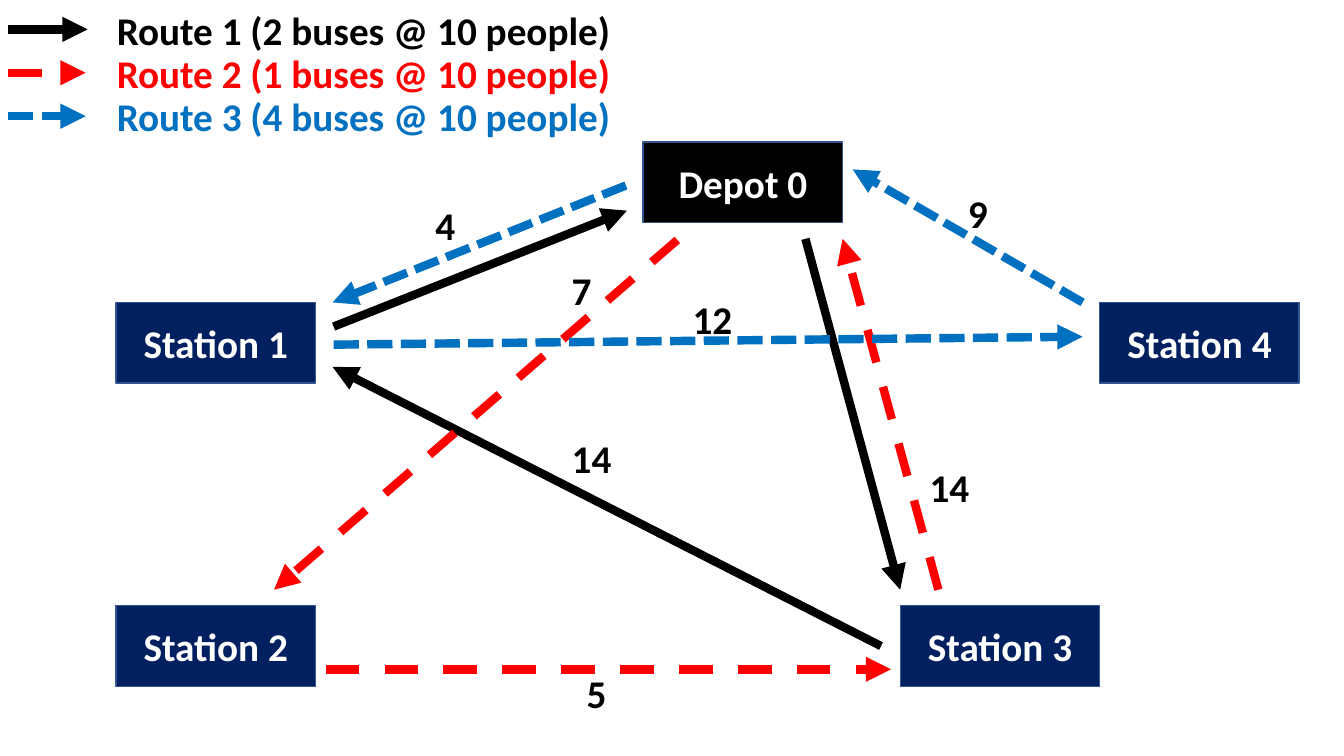
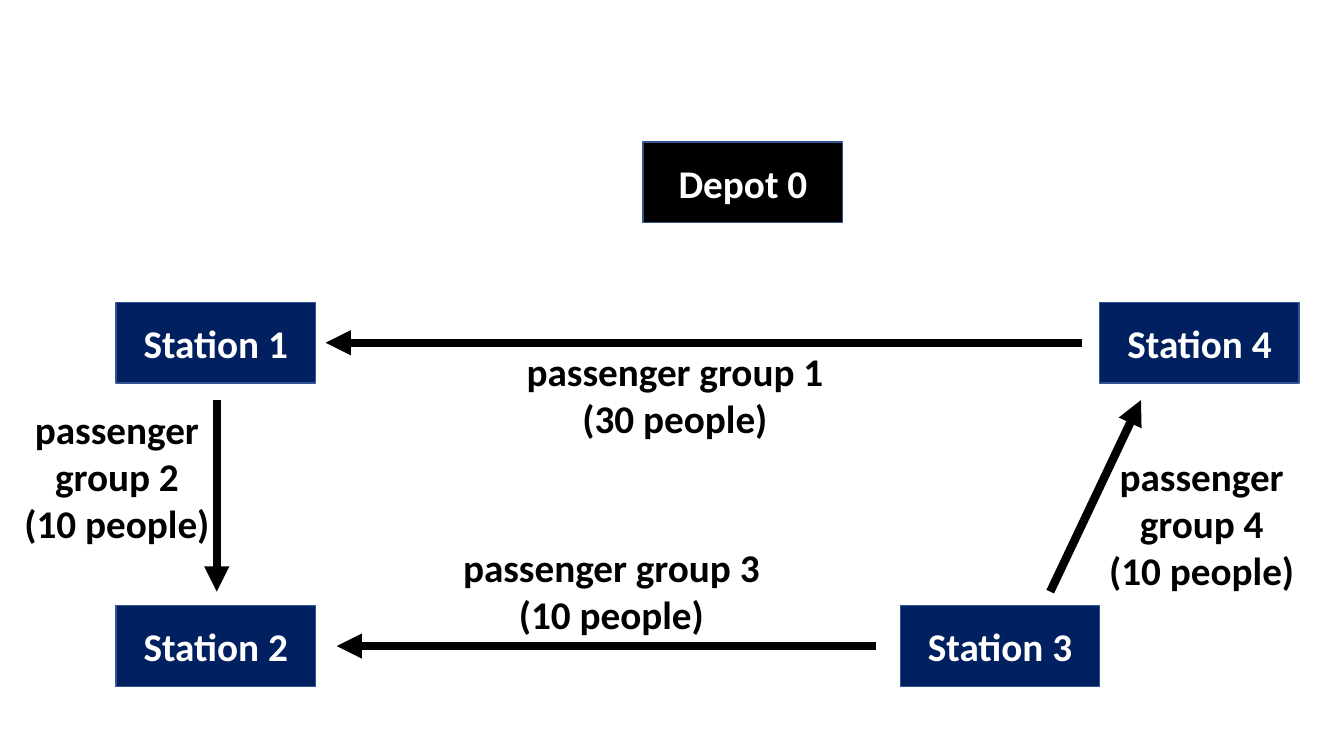
from dataclasses import dataclass

from lxml import etree
from pptx import Presentation
from pptx.dml.color import RGBColor
from pptx.enum import dml, shapes, text
from pptx.oxml import ns
from pptx.util import Pt


@dataclass(frozen=True)
class Theme:
    font: str = "Calibri"
    size: float = 28
    black: str = "000000"
    red: str = "FF0000"
    blue: str = "0070C0"
    navy: str = "002060"
    white: str = "FFFFFF"
    border: str = "325491"
    border_width: float = 1
    arrow_width: float = 6
    line_height: float = 33.7
    text_margin: float = 7.2


THEME = Theme()
BLANK_LAYOUT = 6

# Stops of the bus network: name, left, top, fill
STOP_SIZE = (142.5, 57.6)
STOPS = [
    ("Station 1", 82.8, 216, THEME.navy),
    ("Station 2", 82.8, 432.7, THEME.navy),
    ("Depot 0", 459.4, 101.5, THEME.black),
    ("Station 4", 785.5, 216, THEME.navy),
    ("Station 3", 643, 432.7, THEME.navy),
]

# Routes: colour, dash, legend text, end of legend arrow, legs
ROUTES = [
    (THEME.black, None, "Route 1 (2 buses @ 10 people)", 62.6, [
        ((575.3, 170.6), (643, 421.2)),
        ((629.3, 461.5), (237.6, 262.1)),
        ((238.3, 233.3), (447.8, 150.5)),
    ]),
    (THEME.red, dml.MSO_LINE.DASH, "Route 2 (1 buses @ 10 people)", 61.2, [
        ((483.8, 171.4), (195.8, 421.2)),
        ((232.6, 478.1), (636.5, 478.1)),
        ((670.3, 421.2), (601.9, 170.6)),
    ]),
    (THEME.blue, dml.MSO_LINE.SQUARE_DOT, "Route 3 (4 buses @ 10 people)", 61.2, [
        ((447.1, 132.5), (237.6, 216)),
        ((238.3, 246.2), (773.3, 240.5)),
        ((773.3, 216), (609.1, 121)),
    ]),
]
LEGEND_STEP = 31

# Distances between stops: value, centre, top
DISTANCES = [
    ("4", 318.2, 140.4), ("9", 698.4, 131.8), ("12", 509, 207.4),
    ("7", 415.4, 186.5), ("5", 426.2, 474.5), ("14", 678.2, 327.6),
    ("14", 422.6, 306.7),
]

# Passenger groups: number, people, start, end, label left, top, width, lines
GROUPS = [
    (1, 30, (772.6, 244.8), (232.6, 244.8), 362.2, 244.8, 239.8, 2),
    (2, 10, (154.8, 285.8), (154.8, 422.6), -2.2, 285.8, 171.4, 3),
    (3, 10, (625.7, 461.5), (240.5, 461.5), 316.8, 384.5, 239.8, 2),
    (4, 10, (750.2, 422.6), (815, 285.8), 772.6, 319.7, 171.4, 3),
]


def rgb(colour):
    return RGBColor.from_string(colour)


def write(frame, words, colour, align):
    frame.text = words
    for paragraph in frame.paragraphs:
        paragraph.alignment = align
        for run in paragraph.runs:
            run.font.name = THEME.font
            run.font.size = Pt(THEME.size)
            run.font.bold = True
            run.font.color.rgb = rgb(colour)


def add_label(slide, words, left, top, width, colour=THEME.black, lines=1,
              wrap=False, align=text.PP_ALIGN.CENTER):
    height = lines * THEME.line_height + THEME.text_margin
    label = slide.shapes.add_textbox(Pt(left), Pt(top), Pt(width), Pt(height))
    write(label.text_frame, words, colour, align)
    label.text_frame.word_wrap = wrap
    label.text_frame.auto_size = text.MSO_AUTO_SIZE.SHAPE_TO_FIT_TEXT


def add_arrow(slide, start, end, colour=THEME.black, dash=None):
    arrow = slide.shapes.add_connector(
        shapes.MSO_CONNECTOR.STRAIGHT, *(Pt(v) for v in (*start, *end)))
    arrow.line.color.rgb = rgb(colour)
    arrow.line.width = Pt(THEME.arrow_width)
    if dash is not None:
        arrow.line.dash_style = dash
    # Arrowhead at the end, and no shadow
    outline = arrow.line._get_or_add_ln()
    etree.SubElement(outline, ns.qn("a:tailEnd"), type="triangle")
    etree.SubElement(arrow._element.spPr, ns.qn("a:effectLst"))


def add_stop(slide, name, left, top, fill):
    stop = slide.shapes.add_shape(
        shapes.MSO_SHAPE.RECTANGLE, Pt(left), Pt(top), *map(Pt, STOP_SIZE))
    stop.shadow.inherit = False
    stop.fill.solid()
    stop.fill.fore_color.rgb = rgb(fill)
    stop.line.color.rgb = rgb(THEME.border)
    stop.line.width = Pt(THEME.border_width)
    write(stop.text_frame, name, THEME.white, text.PP_ALIGN.CENTER)
    stop.text_frame.vertical_anchor = text.MSO_ANCHOR.MIDDLE


def add_network_slide(deck):
    slide = deck.slides.add_slide(deck.slide_layouts[BLANK_LAYOUT])
    for stop in STOPS:
        add_stop(slide, *stop)
    return slide


def build_routes(deck):
    slide = add_network_slide(deck)
    for index, (colour, dash, caption, legend_end, legs) in enumerate(ROUTES):
        # Legend row
        offset = index * LEGEND_STEP
        add_arrow(slide, (5.8, 21 + offset), (legend_end, 21 + offset), colour, dash)
        add_label(slide, caption, 76.3, 0.7 + offset, 370.8, colour,
                  align=text.PP_ALIGN.LEFT)
        # Legs of the route
        for start, end in legs:
            add_arrow(slide, start, end, colour, dash)
    for distance, centre, top in DISTANCES:
        width = 14.4 * (len(distance) + 1)
        add_label(slide, distance, centre - width / 2, top, width)


def build_passengers(deck):
    slide = add_network_slide(deck)
    for number, people, start, end, left, top, width, lines in GROUPS:
        add_arrow(slide, start, end)
        add_label(slide, f"passenger group {number}\n({people} people)",
                  left, top, width, lines=lines, wrap=True)


def main():
    deck = Presentation()
    deck.slide_width, deck.slide_height = Pt(960), Pt(540)
    build_routes(deck)
    build_passengers(deck)
    deck.save("out.pptx")


main()
